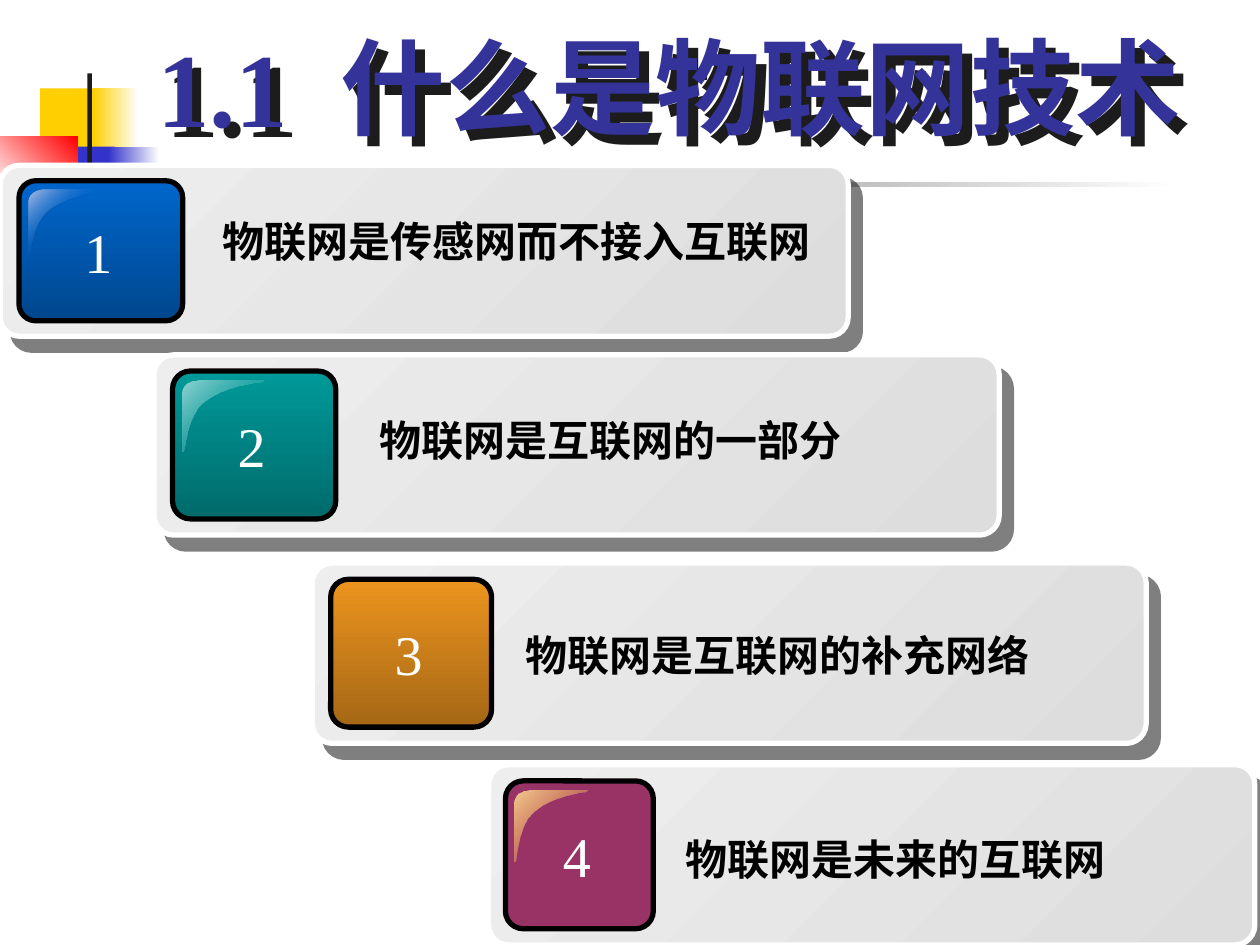
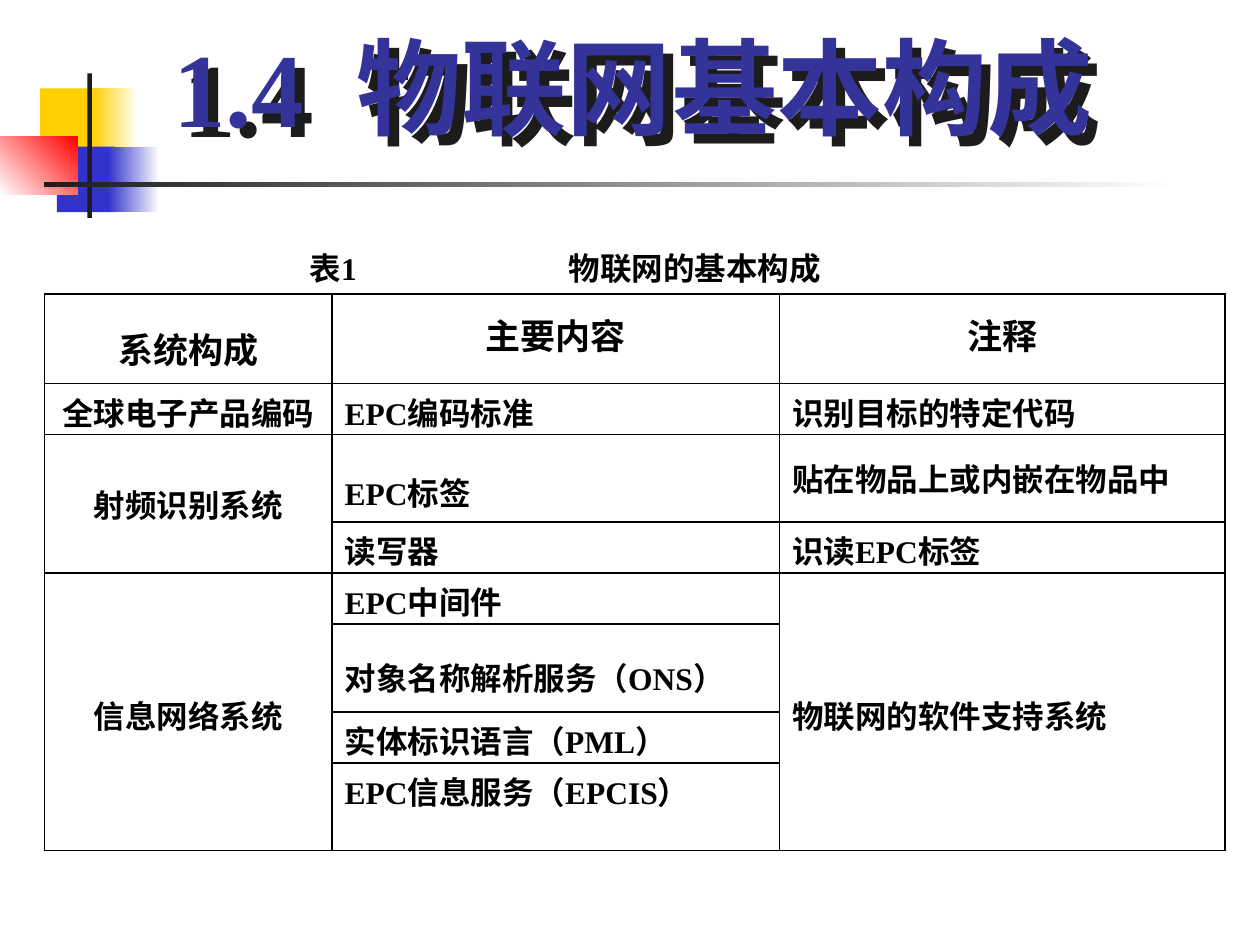
from dataclasses import dataclass

from lxml.etree import SubElement
from pptx import Presentation
from pptx.dml.color import RGBColor
from pptx.enum.shapes import MSO_SHAPE as Preset
from pptx.enum.text import MSO_ANCHOR as Anchor, MSO_AUTO_SIZE as AutoSize, PP_ALIGN as Align
from pptx.oxml.ns import qn
from pptx.util import Pt

LATIN_FONT, ASIAN_FONT = "Times New Roman", "Noto Sans CJK SC"
BLACK, WHITE, INK, TITLE_BLUE = "000000", "FFFFFF", "1C1C1C", "333399"
YELLOW, BLUE, RED = "FFCF01", "3333CC", "FF0000"


@dataclass
class Gradient:
    """Stops are (percent, colour, opacity percent); the angle runs clockwise."""
    angle: int
    stops: list


def blend(angle, first, last, last_opacity=100):
    return Gradient(angle, [(0, first, 100), (100, last, last_opacity)])


CARD_FILL = blend(45, "EEEEEE", "DDDDDD")

# left, top, width, height, fill
DECORATION = [
    (23, 50.5, 34.5, 37.5, YELLOW),
    (53, 50.5, 26, 37.5, blend(0, YELLOW, WHITE)),
    (32.5, 83.8, 33, 37.5, BLUE),
    (62, 83.8, 29, 37.5, blend(0, BLUE, WHITE)),
    (0, 78, 44.4, 33, blend(315, WHITE, RED)),
    (50, 42, 2.6, 82.5, INK),
    (25.2, 104.2, 648, 2.6, blend(0, INK, WHITE)),
]

# card box, badge fill, gloss fill, text, text box, alignment
CARDS = [
    ((0.2, 94.5, 484.5, 97.6), blend(90, "0066CC", "00478E"),
     Gradient(45, [(0, "B5C0E5", 100), (50, "0066CC", 0), (100, "B5C0E5", 100)]),
     "物联网是传感网而不接入互联网", (117, 110.4, 356.5, 54), Align.CENTER),
    ((88, 202.8, 483, 103), blend(90, "009999", "006B6B"),
     blend(45, "93D4D4", "009999", 0),
     "物联网是互联网的一部分", (209.5, 221, 351, 60), Align.LEFT),
    ((178.5, 321.8, 476.5, 103), blend(90, "EC941E", "A56715"), None,
     "物联网是互联网的补充网络", (293, 350, 350, 48), Align.LEFT),
    ((279.2, 437, 437.8, 103), "993366",
     blend(45, "F6CB92", "EC941E", 0),
     "物联网是未来的互联网", (384.5, 458.4, 322, 65), Align.LEFT),
]

# Corner highlight in fractions of its box: a step of three points is a curve
GLOSS_STEPS = [
    [(0.2, 0)],
    [(0.09, 0), (0, 0.07), (0, 0.18)],
    [(0, 0.96)],
    [(0.05, 0.98), (0.02, 0.5), (0.26, 0.29)],
    [(0.52, 0.05), (1, 0.04), (0.99, 0)],
    [(0.2, 0)],
]

COLUMN_WIDTHS = [164.4, 255.6, 254.6]
ROW_HEIGHTS = [51, 29.15, 50.2, 29.15, 29.15, 50.2, 29.15, 50.2]
TABLE_ROWS = [
    ["系统构成", "主要内容", "注释"],
    ["全球电子产品编码", "EPC编码标准", "识别目标的特定代码"],
    ["射频识别系统", "EPC标签", "贴在物品上或内嵌在物品中"],
    ["", "读写器", "识读EPC标签"],
    ["信息网络系统", "EPC中间件", "物联网的软件支持系统"],
    ["", "对象名称解析服务（ONS）", ""],
    ["", "实体标识语言（PML）", ""],
    ["", "EPC信息服务（EPCIS）", ""],
]
MERGES = [((2, 0), (3, 0)), ((4, 0), (7, 0)), ((4, 2), (7, 2))]
TOP_MARGINS = {(0, 0): 16, (0, 1): 0, (0, 2): 0, (2, 0): 0, (2, 1): 15, (2, 2): 0, (5, 1): 10}


def rgb(colour):
    return RGBColor.from_string(colour)


def points(*lengths):
    return [Pt(length) for length in lengths]


def add_colour(parent, colour, opacity=100):
    element = SubElement(parent, qn("a:srgbClr"), val=colour)
    if opacity < 100:
        SubElement(element, qn("a:alpha"), val=str(opacity * 1000))


def paint(shape, fill, line=None):
    if isinstance(fill, Gradient):
        shape.fill.background()
        properties = shape.element.spPr
        gradient = SubElement(properties, qn("a:gradFill"), rotWithShape="1")
        stops = SubElement(gradient, qn("a:gsLst"))
        for position, colour, opacity in fill.stops:
            stop = SubElement(stops, qn("a:gs"), pos=str(position * 1000))
            add_colour(stop, colour, opacity)
        SubElement(gradient, qn("a:lin"), ang=str(fill.angle * 60000), scaled="0")
        properties.replace(properties.find(qn("a:noFill")), gradient)
    else:
        shape.fill.solid()
        shape.fill.fore_color.rgb = rgb(fill)
    if line:
        shape.line.color.rgb = rgb(line)
        shape.line.width = Pt(3)
    else:
        shape.line.fill.background()
    shape.shadow.inherit = False


def cast_shadow(shape, colour, distance, angle, opacity=100):
    shape.shadow.inherit = False
    effects = shape.element.spPr.find(qn("a:effectLst"))
    shadow = SubElement(effects, qn("a:outerShdw"), blurRad="0", dist=str(Pt(distance)),
                        dir=str(angle * 60000), algn="ctr", rotWithShape="0")
    add_colour(shadow, colour, opacity)


def write(frame, text, size=18, colour=BLACK, bold=True, font=LATIN_FONT,
          align=Align.LEFT, tab=None):
    paragraph = frame.paragraphs[0]
    paragraph.alignment = align
    paragraph.space_before = Pt(0)
    if tab:
        tabs = SubElement(paragraph._p.get_or_add_pPr(), qn("a:tabLst"))
        SubElement(tabs, qn("a:tab"), pos=str(Pt(tab)), algn="l")
    run = paragraph.add_run()
    run.text = text
    run.font.name = font
    run.font.size = Pt(size)
    run.font.bold = bold
    run.font.color.rgb = rgb(colour)
    SubElement(run.font._element, qn("a:ea"), typeface=ASIAN_FONT)


def add_text(shapes, box, text, wrap=True, **text_format):
    frame = shapes.add_textbox(*points(*box)).text_frame
    frame.word_wrap = wrap
    frame.vertical_anchor = Anchor.MIDDLE
    write(frame, text, **text_format)
    return frame


def add_block(shapes, preset, box, fill, line=None, corner=None):
    shape = shapes.add_shape(preset, *points(*box))
    if corner:
        shape.adjustments[0] = corner
    paint(shape, fill, line)
    return shape


def decorate_master(master, slide):
    """Draw the shared corner mark and rule, then move them into the master."""
    for index, (*box, fill) in enumerate(DECORATION):
        shape = add_block(slide.shapes, Preset.RECTANGLE, box, fill)
        master.shapes.element.insert(2 + index, shape.element)


def set_title(slide, text, width):
    title = slide.shapes.title
    title.left, title.top, title.width, title.height = points(70.5, 9.5, width, 79)
    title.fill.background()
    cast_shadow(title, INK, 8, 45)
    frame = title.text_frame
    frame.auto_size = AutoSize.NONE
    frame.vertical_anchor = Anchor.TOP
    write(frame, text, size=60, colour=TITLE_BLUE, align=Align.CENTER)


def add_gloss(shapes, box, fill):
    left, top, width, height = box
    start, *vertices = [points(left + x * width, top + y * height)
                        for step in GLOSS_STEPS for x, y in step]
    builder = shapes.build_freeform(*start)
    builder.add_line_segments(vertices, close=True)
    shape = builder.convert_to_shape()
    segments = iter(list(shape.element.iter(qn("a:lnTo"))))
    for step in GLOSS_STEPS[1:]:
        first, *others = [next(segments) for _ in step]
        if others:
            first.tag = qn("a:cubicBezTo")
            for segment in others:
                first.append(segment[0])
                segment.getparent().remove(segment)
    paint(shape, fill)


def add_badge(shapes, box, number, fill, gloss):
    left, top, width, height = box
    add_block(shapes, Preset.ROUNDED_RECTANGLE, box, fill, BLACK, 0.12)
    if gloss:
        add_gloss(shapes, (left + 0.06 * width, top + 0.065 * height,
                           width / 2, height / 2), gloss)
    number_box = (left + width / 2 - 16.5, top + height / 2 - 23, 30, 46)
    add_text(shapes, number_box, str(number), wrap=False, size=32,
             colour=WHITE, bold=False, align=Align.CENTER)


def add_card(slide, number, box, badge_fill, gloss, text, text_box, align):
    shapes = slide.shapes.add_group_shape().shapes
    left, top, width, height = box
    card = add_block(shapes, Preset.ROUNDED_RECTANGLE, box, CARD_FILL, WHITE, 0.11)
    cast_shadow(card, BLACK, 10.6, 49, opacity=50)
    badge_box = (left + 0.022 * width, top + 0.09 * height, 0.193 * width, 0.82 * height)
    add_badge(shapes, badge_box, number, badge_fill, gloss)
    add_text(shapes, text_box, text, size=24, align=align)


def add_borders(cell):
    properties = cell._tc.get_or_add_tcPr()
    for index, side in enumerate(("lnL", "lnR", "lnT", "lnB")):
        line = SubElement(properties, qn(f"a:{side}"), w=str(Pt(1)))
        add_colour(SubElement(line, qn("a:solidFill")), BLACK)
        properties.insert(index, line)


def add_system_table(slide, left, top):
    box = points(left, top, sum(COLUMN_WIDTHS), sum(ROW_HEIGHTS))
    table = slide.shapes.add_table(len(ROW_HEIGHTS), len(COLUMN_WIDTHS), *box).table
    table.first_row = table.horz_banding = False
    for column, width in zip(table.columns, COLUMN_WIDTHS):
        column.width = Pt(width)
    for row, height in zip(table.rows, ROW_HEIGHTS):
        row.height = Pt(height)
    last_row = len(TABLE_ROWS) - 1
    for i, texts in enumerate(TABLE_ROWS):
        for j, text in enumerate(texts):
            cell = table.cell(i, j)
            cell.fill.background()
            add_borders(cell)
            cell.margin_top = Pt(TOP_MARGINS.get((i, j), 3))
            cell.margin_bottom = Pt(5 if i == 0 else 0)
            cell.vertical_anchor = Anchor.TOP if i == last_row else Anchor.MIDDLE
            if text:
                write(cell.text_frame, text, size=20 if i == 0 else 18,
                      align=Align.CENTER if i == 0 or j == 0 else Align.LEFT)
    for first, last in MERGES:
        table.cell(*first).merge(table.cell(*last))


def build_definition_slide(slide):
    set_title(slide, "1.1  什么是物联网技术", 623.5)
    for number, card in enumerate(CARDS, 1):
        add_card(slide, number, *card)


def build_structure_slide(slide):
    set_title(slide, "1.4  物联网基本构成", 582)
    caption = add_text(slide.shapes, (60, 138.4, 493, 29), "表1\t物联网的基本构成", tab=148)
    caption.margin_left = Pt(117)
    add_system_table(slide, 25.4, 168)


def main():
    presentation = Presentation()
    presentation.slide_width, presentation.slide_height = points(720, 540)
    layout = presentation.slide_layouts[5]
    definition, structure = (presentation.slides.add_slide(layout) for _ in range(2))
    decorate_master(presentation.slide_master, definition)
    build_definition_slide(definition)
    build_structure_slide(structure)
    presentation.save("out.pptx")


if __name__ == "__main__":
    main()
